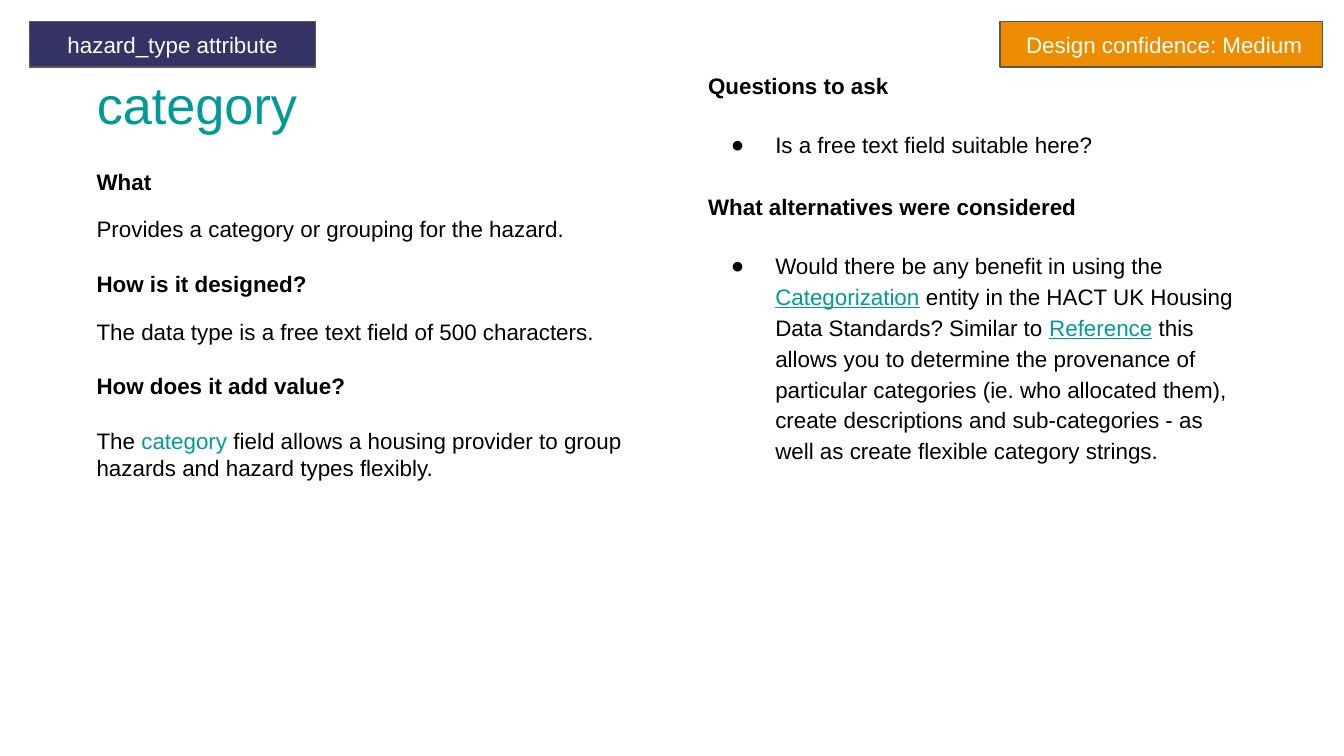
from lxml import etree
from pptx import Presentation
from pptx.dml.color import RGBColor
from pptx.enum.shapes import MSO_SHAPE
from pptx.enum.text import MSO_ANCHOR, MSO_AUTO_SIZE, PP_ALIGN
from pptx.oxml.ns import qn
from pptx.util import Inches, Pt

RECTANGLE = MSO_SHAPE.RECTANGLE
TOP, MIDDLE = MSO_ANCHOR.TOP, MSO_ANCHOR.MIDDLE
LEFT, CENTER = PP_ALIGN.LEFT, PP_ALIGN.CENTER
NO_AUTO_SIZE = MSO_AUTO_SIZE.NONE

BLACK = RGBColor(0x00, 0x00, 0x00)
WHITE = RGBColor(0xFF, 0xFF, 0xFF)
TEAL = RGBColor(0x00, 0x9B, 0x99)
ORANGE = RGBColor(0xEE, 0x8C, 0x00)
NAVY = RGBColor(0x33, 0x33, 0x66)
GREY = RGBColor(0x59, 0x59, 0x59)

FONT = "Arial"
BODY = {"color": BLACK}
HEADING = {"color": BLACK, "bold": True}
TERM = {"color": TEAL}
LINK = {"color": TEAL, "underline": True}
LABEL = {"color": WHITE}
TITLE = {"color": TEAL, "size": Pt(28)}

PLAIN = {"alignment": LEFT}
CENTERED = {"alignment": CENTER}
BEFORE_11 = {"space_before": Pt(11)}
BEFORE_15 = {"space_before": Pt(15)}
BULLET = {"space_before": Pt(15), "line_spacing": 1.15}
SECTION = {"space_before": Pt(16.5), "line_spacing": 1.15}

# Each paragraph is its format followed by its runs of (text, style).
DESCRIPTION = [
    (PLAIN, [("What", HEADING)]),
    (BEFORE_11, [("Provides a category or grouping for the hazard.", BODY)]),
    (BEFORE_15, [("How is it designed?", HEADING)]),
    (BEFORE_11, [("The data type is a free text field of 500 characters.", BODY)]),
    (BEFORE_15, [("How does it add value?", HEADING)]),
    (BEFORE_15, [
        ("The ", BODY),
        ("category", TERM),
        (" field allows a housing provider to group hazards and hazard types "
         "flexibly.", BODY),
    ]),
]
QUESTIONS = [
    (PLAIN, [("Questions to ask", HEADING)]),
    (BULLET, [("Is a free text field suitable here?", BODY)]),
    (SECTION, [("What alternatives were considered", HEADING)]),
    (BULLET, [
        ("Would there be any benefit in using the ", BODY),
        ("Categorization", LINK),
        (" entity in the HACT UK Housing Data Standards? Similar to ", BODY),
        ("Reference", LINK),
        (" this allows you to determine the provenance of particular categories "
         "(ie. who allocated them), create descriptions and sub-categories - as "
         "well as create flexible category strings.", BODY),
    ]),
]


def set_attributes(target, values):
    for name, value in values.items():
        setattr(target, name, value)


def add_bullet(paragraph):
    properties = paragraph._p.get_or_add_pPr()
    properties.set("marL", str(Inches(0.5)))
    properties.set("indent", str(Inches(-0.33)))
    color = etree.SubElement(properties, qn("a:buClr"))
    etree.SubElement(color, qn("a:srgbClr"), val=str(BLACK))
    etree.SubElement(properties, qn("a:buFont"), typeface=FONT)
    etree.SubElement(properties, qn("a:buChar"), char="●")


def add_run(paragraph, text, style):
    run = paragraph.add_run()
    run.text = text
    values = {"name": FONT, "size": Pt(12), **style}
    run.font.color.rgb = values.pop("color")
    set_attributes(run.font, values)


def write_text(shape, paragraphs, anchor=TOP):
    frame = shape.text_frame
    margins = dict.fromkeys(
        ("margin_left", "margin_top", "margin_right", "margin_bottom"), Inches(0.1))
    set_attributes(frame, {"word_wrap": True, "auto_size": NO_AUTO_SIZE,
                           "vertical_anchor": anchor, **margins})
    for index, (paragraph_format, runs) in enumerate(paragraphs):
        paragraph = frame.add_paragraph() if index else frame.paragraphs[0]
        if paragraph_format is BULLET:
            add_bullet(paragraph)
        set_attributes(paragraph, paragraph_format)
        for text, style in runs:
            add_run(paragraph, text, style)


def set_title(slide, text, left, top, width, height):
    title = slide.shapes.title
    set_attributes(title, {"left": Inches(left), "top": Inches(top),
                           "width": Inches(width), "height": Inches(height)})
    write_text(title, [(PLAIN, [(text, TITLE)])])


def add_column(slide, paragraphs, *bounds):
    box = slide.shapes.add_textbox(*map(Inches, bounds))
    write_text(box, paragraphs)


def add_label(slide, text, fill, *bounds):
    label = slide.shapes.add_shape(RECTANGLE, *map(Inches, bounds))
    label.shadow.inherit = False
    label.fill.solid()
    label.fill.fore_color.rgb = fill
    label.line.color.rgb = GREY
    label.line.width = Pt(0.75)
    write_text(label, [(CENTERED, [(text, LABEL)])], MIDDLE)


def main():
    presentation = Presentation()
    presentation.slide_width = Inches(10)
    presentation.slide_height = Inches(10) * 9 // 16
    slide = presentation.slides.add_slide(presentation.slide_layouts[5])
    set_title(slide, "category", 0.62, 0.44, 4.43, 0.63)
    add_column(slide, DESCRIPTION, 0.62, 1.15, 4.19, 3.44)
    add_column(slide, QUESTIONS, 5.17, 0.44, 4.19, 3.33)
    add_label(slide, " Design confidence: Medium", ORANGE, 7.44, 0.16, 2.4, 0.34)
    add_label(slide, "hazard_type attribute", NAVY, 0.22, 0.16, 2.13, 0.34)
    presentation.save("out.pptx")


if __name__ == "__main__":
    main()
